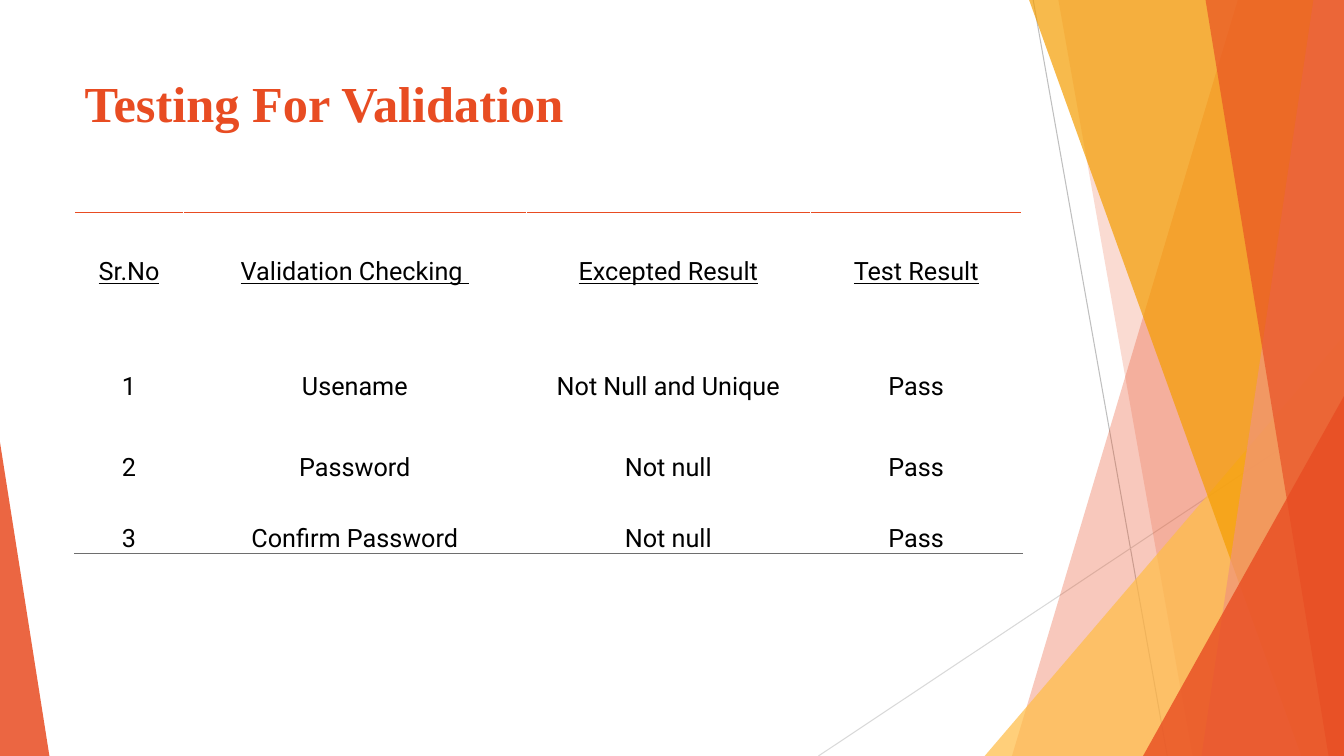
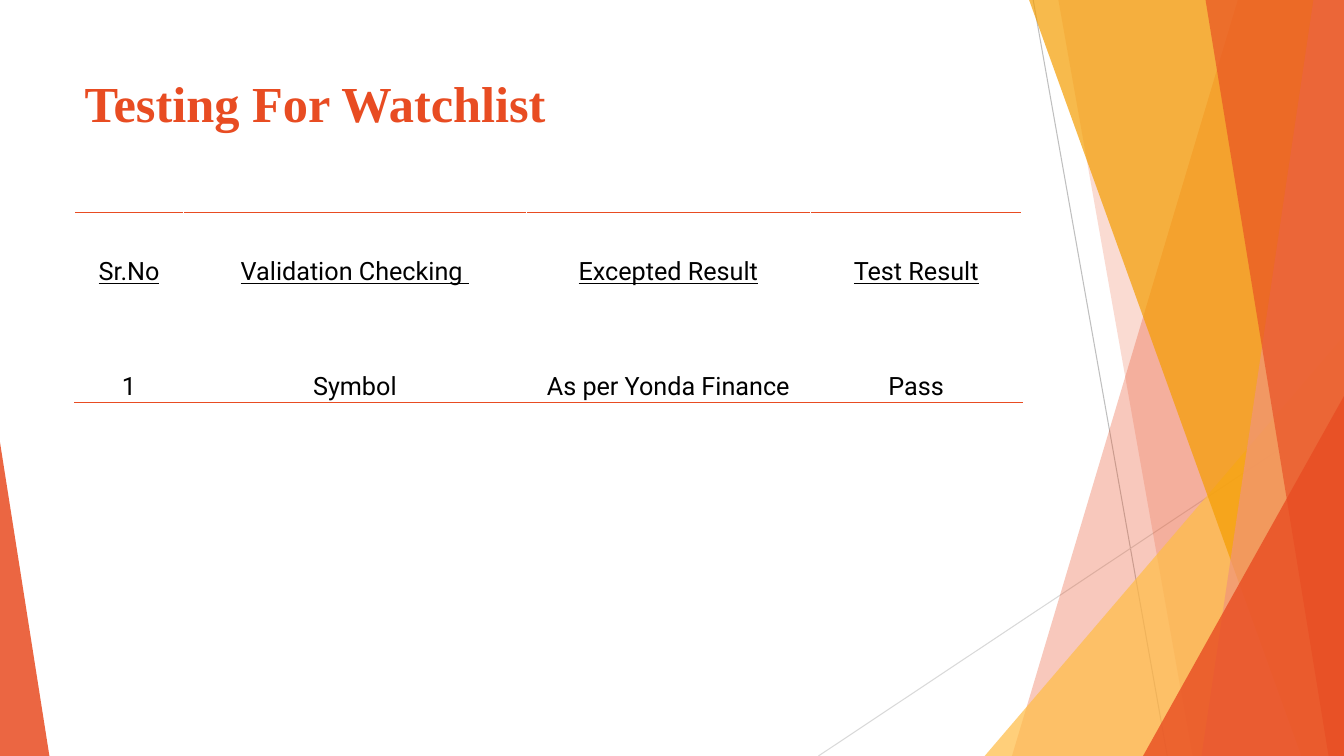
"""Build two slides of test results on a faceted orange layout."""
from lxml.etree import SubElement
from pptx import Presentation
from pptx.dml.color import RGBColor
from pptx.enum.shapes import MSO_CONNECTOR, MSO_SHAPE
from pptx.enum.text import MSO_ANCHOR as ANCHOR, MSO_AUTO_SIZE, PP_ALIGN as ALIGN
from pptx.oxml import parse_xml
from pptx.oxml.ns import nsdecls, qn
from pptx.util import Pt

COLOURS = {
    "orange": "E84C22", "amber": "FFBD47", "gold": "F49D00", "salmon": "F1947A",
    "grey": "BFBFBF", "pale grey": "D9D9D9", "mid grey": "6E6E6E", "black": "000000",
}
WIDTH, HEIGHT = 960, 540
TITLE_BOX = (53.3, 48.2, 676.8, 103.7)
TABLE_LEFT, TABLE_TOP = 53.3, 152
COLUMN_WIDTHS = [77.8, 244.8, 203, 151.2]
HEADER = ["Sr.No", "Validation Checking ", "Excepted Result", "Test Result"]
SLIDES = [
    {
        "title": "Testing For Validation",
        "rows": [
            ["1", "Usename", "Not Null and Unique", "Pass"],
            ["2", "Password", "Not null", "Pass"],
            ["3", "Confirm Password", "Not null", "Pass"],
        ],
        "heights": [84.2, 51.1, 57.3, 51.1],
        "closing line": "mid grey",
    },
    {
        "title": "Testing For Watchlist",
        "rows": [["1", "Symbol", "As per Yonda Finance", "Pass"]],
        "heights": [84.2, 51.1],
        "closing line": "orange",
    },
]
LINES = [("grey", 738, 0, 833.8, HEIGHT), ("pale grey", WIDTH, 290.2, 584.6, HEIGHT)]
FACETS = [
    ("band", "orange", 30, (884.2, 722.9)),
    ("band", "orange", 20, (756, 851.8)),
    ("triangle", "amber", 72, (703.4, 239.8, 256.6, 300.2, 1)),
    ("band", "gold", 70, (735.1, 929.5)),
    ("band", "salmon", 70, (938.2, 858.2)),
    ("band", "orange", 65, (861.1, 949)),
    ("triangle", "orange", 80, (816.5, 283, 143.5, 257, 1)),
    ("triangle", "orange", 85, (0, 316, 35.3, 224, 0)),
]


def colour(name):
    return RGBColor.from_string(COLOURS[name])


def add_line(shapes, name, *ends):
    line = shapes.add_connector(MSO_CONNECTOR.STRAIGHT, *map(Pt, ends))
    line.line.color.rgb = colour(name)
    line.line.width = Pt(0.75)
    SubElement(line.element.spPr, qn("a:effectLst"))
    return line


def add_band(shapes, top_x, bottom_x):
    builder = shapes.build_freeform(Pt(top_x), 0)
    corners = [(WIDTH, 0), (WIDTH, HEIGHT), (bottom_x, HEIGHT)]
    builder.add_line_segments([(Pt(x), Pt(y)) for x, y in corners], close=True)
    return builder.convert_to_shape()


def add_triangle(shapes, left, top, width, height, apex):
    box = map(Pt, (left, top, width, height))
    triangle = shapes.add_shape(MSO_SHAPE.ISOSCELES_TRIANGLE, *box)
    triangle.adjustments[0] = apex
    return triangle


def add_facet(shapes, kind, name, opacity, geometry):
    draw = {"band": add_band, "triangle": add_triangle}[kind]
    facet = draw(shapes, *geometry)
    facet.shadow.inherit = False
    facet.fill.solid()
    facet.fill.fore_color.rgb = colour(name)
    facet.line.fill.background()
    fill_colour = facet.element.spPr.find(".//" + qn("a:srgbClr"))
    SubElement(fill_colour, qn("a:alpha"), val=str(opacity * 1000))
    return facet


def decorate_layout(layout, slide):
    """Draw the backdrop on a slide and move it to the layout that all slides share."""
    parts = [add_line(slide.shapes, *line) for line in LINES]
    parts += [add_facet(slide.shapes, *facet) for facet in FACETS]
    for part in parts:
        layout.shapes.element.append(part.element)


def place_layout_title(layout):
    title = layout.placeholders[0]
    title.left, title.top, title.width, title.height = map(Pt, TITLE_BOX)


def style_font(font, typeface, size, name, bold=False, underline=False):
    font.name, font.size = typeface, Pt(size)
    font.bold, font.underline = bold, underline
    font.color.rgb = colour(name)


def set_title(slide, text):
    frame = slide.shapes.title.text_frame
    frame.text = text
    frame.vertical_anchor = ANCHOR.TOP
    frame.auto_size = MSO_AUTO_SIZE.NONE
    paragraph = frame.paragraphs[0]
    paragraph.alignment = ALIGN.LEFT
    style_font(paragraph.font, "Times New Roman", 36, "orange", bold=True)


def add_border(cell, side, name):
    border = parse_xml(
        f'<a:{side} {nsdecls("a")} w="12700"><a:solidFill>'
        f'<a:srgbClr val="{COLOURS[name]}"/></a:solidFill></a:{side}>'
    )
    cell._tc.get_or_add_tcPr().insert(0, border)


def fill_cell(cell, text, is_header):
    cell.text = text
    cell.fill.background()
    cell.margin_left = cell.margin_right = cell.margin_top = Pt(0.7)
    cell.margin_bottom = 0
    cell.vertical_anchor = ANCHOR.MIDDLE if is_header else ANCHOR.BOTTOM
    paragraph = cell.text_frame.paragraphs[0]
    paragraph.alignment = ALIGN.CENTER
    style_font(paragraph.font, "Roboto", 18, "black", underline=is_header)


def add_results(slide, rows, heights, closing_line):
    rows = [HEADER] + rows
    box = (TABLE_LEFT, TABLE_TOP, sum(COLUMN_WIDTHS), sum(heights))
    table = slide.shapes.add_table(len(rows), len(HEADER), *map(Pt, box)).table
    table.first_row = table.horz_banding = False
    for column, width in zip(table.columns, COLUMN_WIDTHS):
        column.width = Pt(width)
    for index, (row, texts) in enumerate(zip(table.rows, rows)):
        row.height = Pt(heights[index])
        for cell, text in zip(row.cells, texts):
            fill_cell(cell, text, index == 0)
            if index == 0:
                add_border(cell, "lnT", "orange")
            elif index == len(rows) - 1:
                add_border(cell, "lnB", closing_line)


def main():
    presentation = Presentation()
    presentation.slide_width, presentation.slide_height = Pt(WIDTH), Pt(HEIGHT)
    layout = presentation.slide_layouts.get_by_name("Title Only")
    place_layout_title(layout)
    for content in SLIDES:
        slide = presentation.slides.add_slide(layout)
        set_title(slide, content["title"])
        add_results(slide, content["rows"], content["heights"], content["closing line"])
    decorate_layout(layout, presentation.slides[0])
    presentation.save("out.pptx")


if __name__ == "__main__":
    main()
